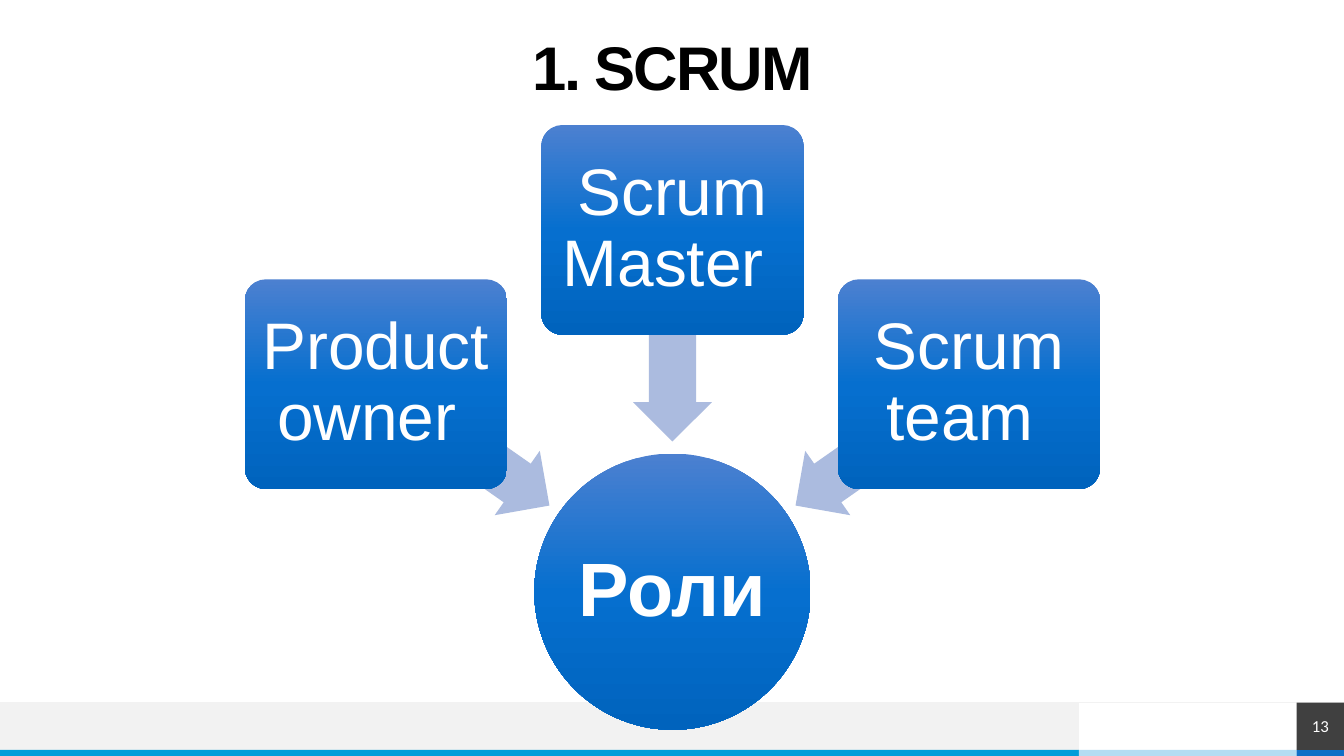
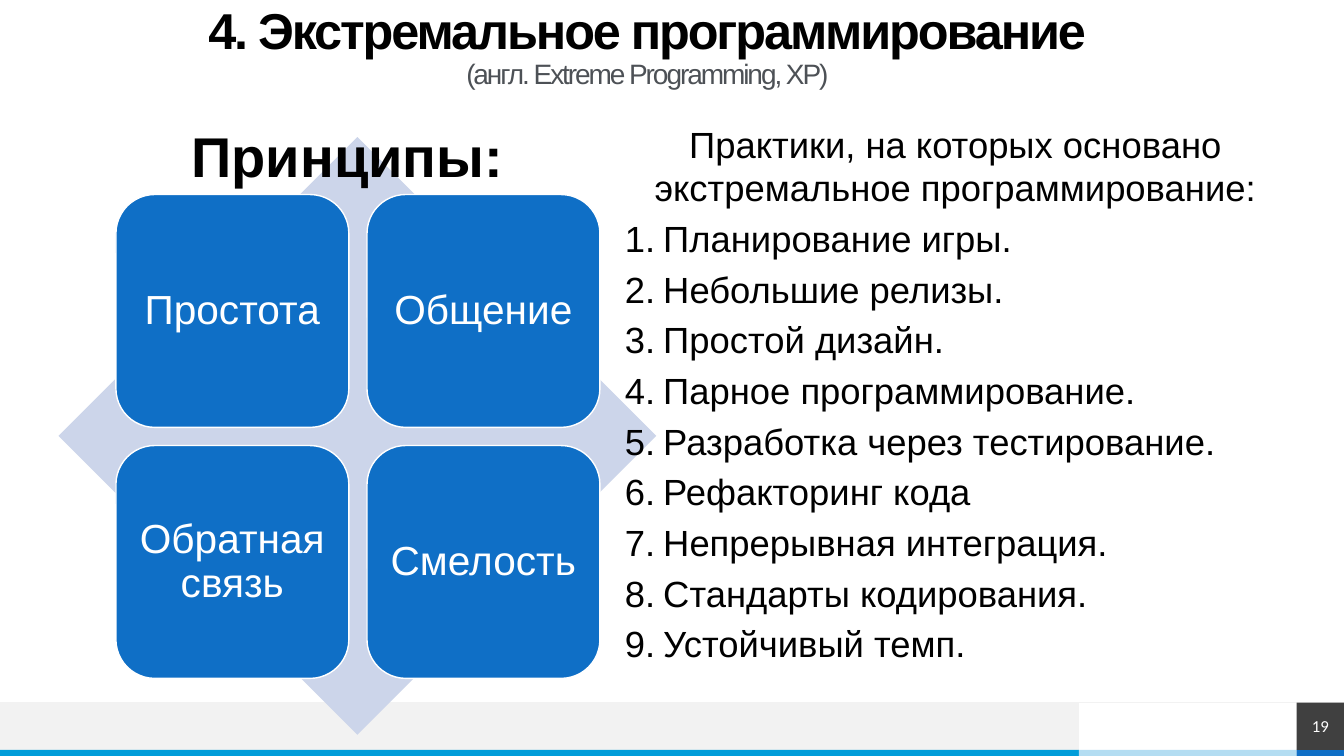
import copy
import math

from lxml import etree
from pptx import Presentation
from pptx.dml import color
from pptx.enum import shapes, text
from pptx.oxml import ns
from pptx.util import Inches, Pt

COLORS = {
    "black": "000000", "white": "FFFFFF", "subtitle": "4D5156",
    "band": "F2F2F2", "number": "404040",
    "strip": "009DD9", "strip_light": "B3DDF2", "blue": "0F6FC6",
    "arrow": "ABBBDF", "diamond": "CCD5EA",
    "role_top": "4C80D0", "role_middle": "066FCF", "role_bottom": "0063BD",
}
ROLE_GRADIENT = [(0, "role_top"), (0.5, "role_middle"), (1, "role_bottom")]
SHAPE = shapes.MSO_SHAPE
CENTER = text.PP_ALIGN.CENTER

WIDTH, HEIGHT = 13.33, 7.5
BAND_TOP, STRIP_TOP = 6.97, 7.44
BAND_RIGHT, NUMBER_LEFT = 10.7, 12.86

SCRUM_TITLE = [("1. SCRUM", 44, "black", True)]
HUB = "Роли"
ROLES = [("Product owner ", 215), ("Scrum Master ", 270), ("Scrum team ", 325)]

XP_TITLE = [
    ("4. Экстремальное программирование", 36, "black", True),
    ("(англ. Extreme Programming, XP)", 20, "subtitle", False),
]
PRINCIPLES_HEADING = "Принципы:"
PRINCIPLES = ["Простота", "Общение", "Обратная связь", "Смелость"]
PRACTICES_HEADING = "Практики, на которых основано экстремальное программирование:"
PRACTICES = [
    "Планирование игры.",
    "Небольшие релизы.",
    "Простой дизайн.",
    "Парное программирование.",
    "Разработка через тестирование.",
    "Рефакторинг кода",
    "Непрерывная интеграция.",
    "Стандарты кодирования.",
    "Устойчивый темп.",
]


def rgb(name):
    return color.RGBColor.from_string(COLORS[name])


def add_run(p, content, size, fill="white", bold=False, font="Arial"):
    r = p.add_run()
    r.text = content
    r.font.name, r.font.size, r.font.bold = font, Pt(size), bold
    r.font.color.rgb = rgb(fill)
    return r


def add_shape(slide, kind, left, top, width, height, fill=None):
    sp = slide.shapes.add_shape(kind, *map(Inches, (left, top, width, height)))
    sp.shadow.inherit = False
    sp.line.fill.background()
    if fill:
        sp.fill.solid()
        sp.fill.fore_color.rgb = rgb(fill)
    return sp


def add_centered(slide, kind, x, y, width, height, fill=None):
    return add_shape(slide, kind, x - width / 2, y - height / 2, width, height, fill)


def set_frame(sp, inset):
    """Wrap and centre the text vertically; return its first paragraph."""
    tf = sp.text_frame
    tf.word_wrap = True
    tf.vertical_anchor = text.MSO_ANCHOR.MIDDLE
    tf.margin_left = tf.margin_right = tf.margin_top = tf.margin_bottom = Inches(inset)
    p = tf.paragraphs[0]
    p.alignment = CENTER
    return p


def label(sp, content, size, inset, bold=False):
    p = set_frame(sp, inset)
    p.line_spacing = 0.9
    add_run(p, content, size, bold=bold)


def fill_role(sp):
    """Fill with the three-stop vertical gradient."""
    sp.fill.gradient()
    sp.fill.gradient_angle = 270
    gs_list = sp.element.spPr.find(".//" + ns.qn("a:gsLst"))
    gs_list.insert(1, copy.deepcopy(gs_list[0]))
    for stop, (position, name) in zip(sp.fill.gradient_stops, ROLE_GRADIENT):
        stop.position = position
        stop.color.rgb = rgb(name)


def add_text_box(slide, left, top, width, height):
    sp = slide.shapes.add_textbox(*map(Inches, (left, top, width, height)))
    sp.text_frame.word_wrap = True
    return sp


def add_base(prs, title, title_left, title_top, number):
    """Add a slide with the shared footer, title and slide number."""
    slide = prs.slides.add_slide(prs.slide_layouts[6])
    band_height, strip_height = STRIP_TOP - BAND_TOP, HEIGHT - STRIP_TOP
    add_shape(slide, SHAPE.RECTANGLE, 0, BAND_TOP, BAND_RIGHT, band_height, "band")
    strips = [(0, BAND_RIGHT, "strip"), (BAND_RIGHT, NUMBER_LEFT, "strip_light"),
              (NUMBER_LEFT, WIDTH, "blue")]
    for left, right, fill in strips:
        add_shape(slide, SHAPE.RECTANGLE, left, STRIP_TOP, right - left, strip_height, fill)
    rule = slide.shapes.add_connector(
        shapes.MSO_CONNECTOR.STRAIGHT,
        Inches(WIDTH), Inches(BAND_TOP), Inches(0), Inches(BAND_TOP))
    rule.line.color.rgb = rgb("band")
    rule.line.width = Pt(0.5)
    etree.SubElement(rule.element.spPr, ns.qn("a:effectLst"))

    p = set_frame(add_text_box(slide, title_left, title_top, 12.4, 0.47), 0)
    p.line_spacing = 0.9
    for i, run in enumerate(title):
        if i:
            p.add_line_break()
        r = add_run(p, *run)
        r.font._element.set("spc", "-150")

    box = add_shape(slide, SHAPE.RECTANGLE, NUMBER_LEFT, BAND_TOP,
                    WIDTH - NUMBER_LEFT, band_height, "number")
    add_run(set_frame(box, 0), str(number), 12, font="Calibri")
    return slide


def add_scrum(prs):
    slide = add_base(prs, SCRUM_TITLE, 0.47, 0.47, 13)
    hub_x, hub_y = 6.67, 5.87
    arrow_distance, role_distance = 2.54, 3.59

    hub = add_centered(slide, SHAPE.OVAL, hub_x, hub_y, 2.74, 2.74)
    fill_role(hub)
    label(hub, HUB, 54, 0, bold=True)
    hub.text_frame.word_wrap = False
    for role, angle in ROLES:
        dx, dy = math.cos(math.radians(angle)), math.sin(math.radians(angle))
        arrow = add_centered(slide, SHAPE.LEFT_ARROW, hub_x + arrow_distance * dx,
                             hub_y + arrow_distance * dy, 2.1, 0.78, "arrow")
        arrow.adjustments[0] = 0.6
        arrow.rotation = angle
        box = add_centered(slide, SHAPE.ROUNDED_RECTANGLE, hub_x + role_distance * dx,
                           hub_y + role_distance * dy, 2.6, 2.08)
        box.adjustments[0] = 0.1
        fill_role(box)
        label(box, role, 47, 0.09)


def add_xp(prs):
    slide = add_base(prs, XP_TITLE, 0.22, 0.24, 19)
    add_shape(slide, SHAPE.DIAMOND, 0.58, 1.36, 5.93, 5.93, "diamond")
    left, top, size, pitch = 1.15, 1.93, 2.31, 2.49
    for i, principle in enumerate(PRINCIPLES):
        row, col = divmod(i, 2)
        tile = add_shape(slide, SHAPE.ROUNDED_RECTANGLE, left + col * pitch,
                         top + row * pitch, size, size, "blue")
        tile.line.color.rgb = rgb("white")
        tile.line.width = Pt(1)
        label(tile, principle, 29, 0.12)

    p = add_text_box(slide, 0.72, 1.16, 5.45, 0.77).text_frame.paragraphs[0]
    p.alignment = CENTER
    add_run(p, PRINCIPLES_HEADING, 40, "black", True)

    tf = add_text_box(slide, 6.1, 1.16, 6.76, 5.55).text_frame
    p = tf.paragraphs[0]
    p.alignment = CENTER
    p.space_after = Pt(5)
    add_run(p, PRACTICES_HEADING, 26, "black")
    indent = Inches(0.38)
    for practice in PRACTICES:
        p = tf.add_paragraph()
        p.space_after = Pt(5)
        add_run(p, practice, 26, "black")
        props = p._p.get_or_add_pPr()
        props.set("marL", str(indent))
        props.set("indent", str(-indent))
        etree.SubElement(props, ns.qn("a:buAutoNum"), type="arabicPeriod")


def main():
    prs = Presentation()
    prs.slide_width, prs.slide_height = Inches(WIDTH), Inches(HEIGHT)
    add_scrum(prs)
    add_xp(prs)
    prs.save("out.pptx")


if __name__ == "__main__":
    main()
